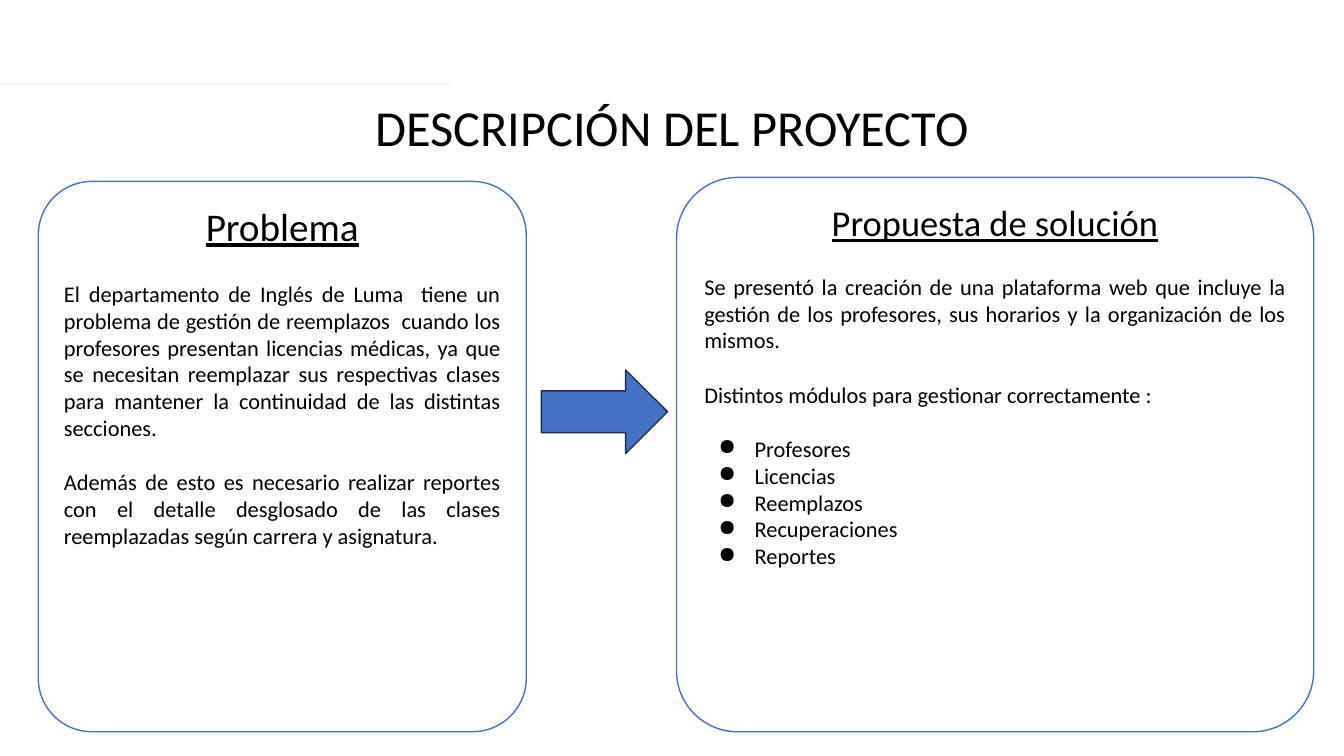
from lxml import etree
from pptx import Presentation
from pptx.dml.color import RGBColor
from pptx.enum.shapes import MSO_CONNECTOR, MSO_SHAPE
from pptx.enum.text import MSO_ANCHOR, PP_ALIGN
from pptx.oxml.ns import qn
from pptx.util import Inches, Pt

LINE = MSO_CONNECTOR.STRAIGHT
ROUND, ARROW = MSO_SHAPE.ROUNDED_RECTANGLE, MSO_SHAPE.RIGHT_ARROW
TOP = MSO_ANCHOR.TOP
MID, FULL = PP_ALIGN.CENTER, PP_ALIGN.JUSTIFY

WIDE, HIGH = Inches(13.33), Inches(7.5)
FONT = "Calibri"
COLOR = {
    "ink": "000000",
    "paper": "FFFFFF",
    "blue": "4472C4",
    "navy": "1C3052",
    "pale": "F5F7FC",
}
LEAD = 1.22  # line height as a share of the text size


def tint(name):
    return RGBColor.from_string(COLOR[name])


def write(frame, text, size=16, align=FULL, under=False, gap=0, dot=False):
    """Add one paragraph; gap is the size of the empty line after it."""
    para = frame.paragraphs[0]
    if para.runs:
        para = frame.add_paragraph()
    para.alignment = align
    para.space_after = Pt(round(gap * LEAD, 1))
    run = para.add_run()
    run.text = text
    font = run.font
    font.name, font.size, font.underline = FONT, Pt(size), under
    font.color.rgb = tint("ink")
    if dot:
        props = para._p.get_or_add_pPr()
        props.set("marL", str(Inches(0.5)))
        props.set("indent", str(-Inches(0.36)))
        color = etree.SubElement(props, qn("a:buClr"))
        etree.SubElement(color, qn("a:srgbClr"), val=COLOR["ink"])
        etree.SubElement(props, qn("a:buChar"), char="●")


class Board:
    """Draws on one slide; lengths are cells of a 100 by 100 grid."""

    def __init__(self, deck):
        self.slide = deck.slides.add_slide(deck.slide_layouts[6])
        self.shapes = self.slide.shapes
        back = self.slide.background.fill
        back.solid()
        back.fore_color.rgb = tint("paper")

    def place(self, x, y, w, h):
        col, row = WIDE / 100, HIGH / 100
        return int(x * col), int(y * row), int(w * col), int(h * row)

    def text(self, *cells):
        frame = self.shapes.add_textbox(*self.place(*cells)).text_frame
        frame.word_wrap = True
        return frame

    def rule(self, x, y, w, color, width):
        left, top, wide, _ = self.place(x, y, w, 0)
        line = self.shapes.add_connector(LINE, left, top, left + wide, top)
        line.line.color.rgb = tint(color)
        line.line.width = Pt(width)
        etree.SubElement(line._element.spPr, qn("a:effectLst"))

    def shape(self, kind, *cells, fill, edge):
        item = self.shapes.add_shape(kind, *self.place(*cells))
        item.shadow.inherit = False
        item.fill.solid()
        item.fill.fore_color.rgb = tint(fill)
        item.line.color.rgb = tint(edge)
        item.line.width = Pt(1)
        return item

    def panel(self, x, y, w, end=96.8):
        item = self.shape(ROUND, x, y, w, end - y, fill="paper", edge="blue")
        item.adjustments[0] = 0.11
        frame = item.text_frame
        frame.word_wrap = True
        frame.vertical_anchor = TOP
        return frame


def main():
    deck = Presentation()
    deck.slide_width, deck.slide_height = WIDE, HIGH
    board = Board(deck)

    # Heading
    title = board.text(0, 12, 100, 9.47)
    write(title, "DESCRIPCIÓN DEL PROYECTO", size=36, align=MID)
    board.rule(0, 11.07, 33.53, "pale", 1.25)

    # Problem
    left = board.panel(2.85, 24, 36.31)
    write(left, "Problema", size=28, align=MID, under=True, gap=18)
    write(left, "El departamento de Inglés de Luma  tiene un problema de "
          "gestión de reemplazos  cuando los profesores presentan licencias "
          "médicas, ya que se necesitan reemplazar sus respectivas clases "
          "para mantener la continuidad de las distintas secciones. ", gap=16)
    write(left, "Además de esto es necesario realizar reportes con el detalle "
          "desglosado de las clases reemplazadas según carrera y asignatura.")

    # Solution
    right = board.panel(50.34, 23.47, 47.41)
    write(right, "Propuesta de solución", size=26, align=MID, under=True,
          gap=17)
    write(right, "Se presentó la creación de una plataforma web que incluye "
          "la gestión de los profesores, sus horarios y la organización de "
          "los mismos.", gap=16)
    write(right, "Distintos módulos para gestionar correctamente :", gap=16)
    for part in ("Profesores", "Licencias", "Reemplazos", "Recuperaciones",
                 "Reportes"):
        write(right, part, dot=True)

    # Arrow from problem to solution
    board.shape(ARROW, 40.29, 48.93, 9.38, 11.07, fill="blue", edge="navy")

    deck.save("out.pptx")


if __name__ == "__main__":
    main()
